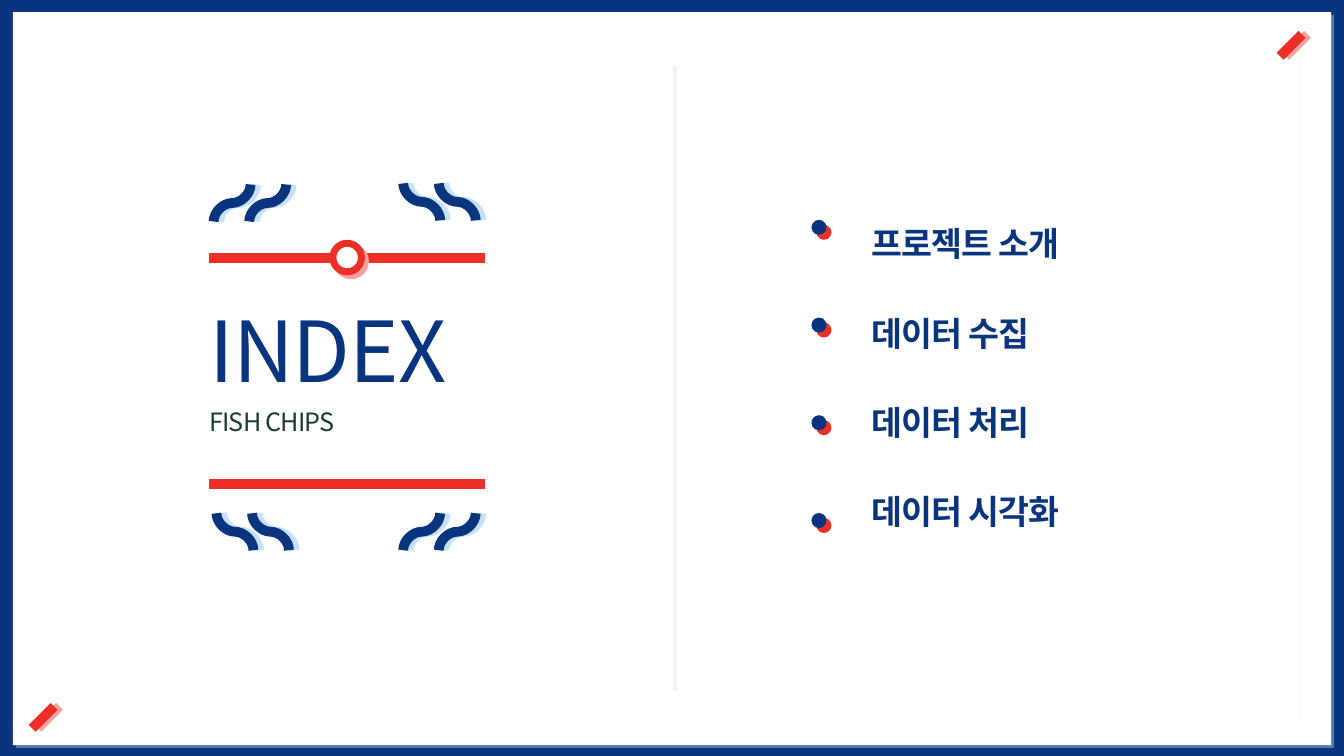
from lxml import etree
from pptx import Presentation
from pptx.dml.color import RGBColor
from pptx.enum.shapes import MSO_CONNECTOR, MSO_SHAPE
from pptx.enum.text import MSO_ANCHOR, PP_ALIGN
from pptx.oxml.ns import qn
from pptx.util import Pt

STRAIGHT, CURVE = MSO_CONNECTOR.STRAIGHT, MSO_CONNECTOR.CURVE
RECTANGLE, OVAL = MSO_SHAPE.RECTANGLE, MSO_SHAPE.OVAL
MIDDLE = MSO_ANCHOR.MIDDLE
LEFT, JUSTIFY = PP_ALIGN.LEFT, PP_ALIGN.JUSTIFY

NAVY = RGBColor(0x09, 0x34, 0x7E)
RED = RGBColor(0xEE, 0x2F, 0x27)
PINK = RGBColor(0xFC, 0xA0, 0xA1)
SKY = RGBColor(0xC6, 0xE1, 0xFE)
GREY = RGBColor(0xF2, 0xF2, 0xF2)
GREEN = RGBColor(0x1B, 0x3C, 0x33)
WHITE = RGBColor(0xFF, 0xFF, 0xFF)

FONT = "Noto Sans CJK KR"
TOPICS = ["프로젝트 소개", "데이터 수집", "데이터 처리", "데이터 시각화"]
TOPIC_PITCH = 69.8
WAVE_SIZE = 26.4
WAVE_GAP = 25.4


def add_node(parent, tag, **values):
    node = etree.SubElement(parent, qn(tag))
    for name, value in values.items():
        node.set(name, str(value))
    return node


def set_shadow(item, color=None, distance=0, angle=0, opacity=100):
    """Give the item a hard shadow, or none when no color is given."""
    effects = add_node(item._element.spPr, "a:effectLst")
    if color is not None:
        shadow = add_node(effects, "a:outerShdw", blurRad=0, dist=Pt(distance),
                          dir=angle * 60000, algn="tl", rotWithShape=0)
        tint = add_node(shadow, "a:srgbClr", val=color)
        add_node(tint, "a:alpha", val=opacity * 1000)


def add_line(page, start, end, color, width, shadow=(), kind=STRAIGHT):
    line = page.shapes.add_connector(kind, *map(Pt, start + end))
    line.line.color.rgb = color
    line.line.width = Pt(width)
    set_shadow(line, *shadow)
    return line


def add_panel(page, kind, box, fill, shadow, outline=None, width=0):
    panel = page.shapes.add_shape(kind, *map(Pt, box))
    panel.fill.solid()
    panel.fill.fore_color.rgb = fill
    if outline is None:
        panel.line.fill.background()
    else:
        panel.line.color.rgb = outline
        panel.line.width = Pt(width)
    set_shadow(panel, *shadow)


def add_wave_pair(page, left, top, rising):
    """Two S-curves side by side that leave and arrive vertically."""
    for x in (left, left + WAVE_GAP):
        near, far = (x, x + WAVE_SIZE) if rising else (x + WAVE_SIZE, x)
        wave = add_line(page, (near, top), (far, top + WAVE_SIZE), NAVY, 7,
                        (SKY, 4), CURVE)
        turn = 90 if rising else 270
        wave._element.spPr.find(qn("a:xfrm")).set("rot", str(turn * 60000))


def add_text(page, box, lines, size, color, bold=False, align=LEFT,
             spacing=1.2, gap=0):
    frame = page.shapes.add_textbox(*map(Pt, box)).text_frame
    frame_format = {"word_wrap": True, "vertical_anchor": MIDDLE,
                    "margin_left": 0, "margin_top": 0,
                    "margin_right": 0, "margin_bottom": 0}
    for name, value in frame_format.items():
        setattr(frame, name, value)
    for index, words in enumerate(lines):
        para = frame.add_paragraph() if index else frame.paragraphs[0]
        para_format = {"alignment": align, "line_spacing": spacing,
                       "space_before": Pt(gap if index else 0)}
        for name, value in para_format.items():
            setattr(para, name, value)
        span = para.add_run()
        span.text = words
        span_format = {"name": FONT, "size": Pt(size), "bold": bold}
        for name, value in span_format.items():
            setattr(span.font, name, value)
        span.font.color.rgb = color
        properties = span._r.get_or_add_rPr()
        properties.set("spc", "-60")
        add_node(properties, "a:ea", typeface=FONT)


def add_frame(page):
    background = page.background.fill
    background.solid()
    background.fore_color.rgb = NAVY
    add_panel(page, RECTANGLE, (9.2, 8.6, 941.6, 523.6), WHITE,
              (SKY, 3, 45, 40))

    # Faint rule at the right edge
    rule = add_line(page, (929.5, 24.5), (929.5, 511), GREY, 1)
    outline = rule.line._get_or_add_ln()
    tint = outline.find(qn("a:solidFill"))[0]
    add_node(tint, "a:alpha", val=22000)
    for tag in ("a:headEnd", "a:tailEnd"):
        add_node(outline, tag, type="oval")

    # Centre divider and corner strokes
    add_line(page, (482, 47), (482, 493), GREY, 2.5)
    for x, y in ((914.4, 24.6), (23, 504.6)):
        add_line(page, (x + 15.6, y), (x, y + 15.6), RED, 7, (PINK, 4))


def add_title(page):
    # Red bars and ring
    for y in (184.3, 345.6):
        add_line(page, (149.5, y), (346.5, y), RED, 7)
    add_panel(page, OVAL, (237.8, 173.8, 20.4, 20.4), WHITE, (PINK, 4, 45),
              RED, 5)

    # Waves in the four corners
    add_wave_pair(page, 152.6, 131.8, True)
    add_wave_pair(page, 288, 131, False)
    add_wave_pair(page, 154.6, 366.6, False)
    add_wave_pair(page, 288, 366.6, True)

    add_text(page, (149.5, 219.6, 197, 44.6), ["INDEX"], 60, NAVY,
             align=JUSTIFY)
    add_text(page, (149.5, 286.6, 197, 24.5), ["FISH CHIPS"], 18, GREEN,
             align=JUSTIFY)


def add_topics(page):
    add_text(page, (622.5, 133.8, 188.6, 271.4), TOPICS, 24, NAVY, bold=True,
             spacing=1.0, gap=TOPIC_PITCH - 34.8)
    for index in range(len(TOPICS)):
        add_panel(page, OVAL, (579.6, 157 + index * TOPIC_PITCH, 10.8, 10.8),
                  NAVY, (RED, 5, 45))


def main():
    deck = Presentation()
    deck.slide_width, deck.slide_height = Pt(960), Pt(540)
    page = deck.slides.add_slide(deck.slide_layouts[6])
    add_frame(page)
    add_title(page)
    add_topics(page)
    deck.save("out.pptx")


if __name__ == "__main__":
    main()
